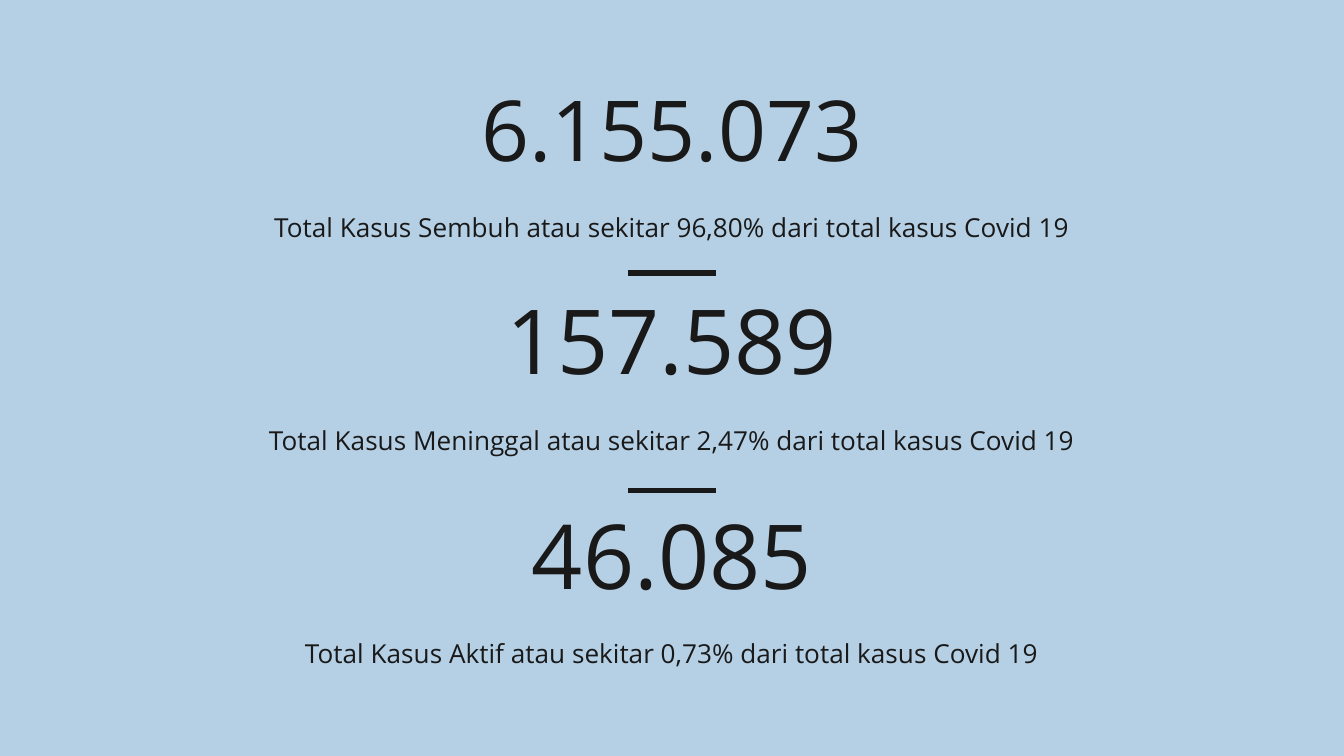
from pptx import Presentation
from pptx.dml.color import RGBColor
from pptx.enum.shapes import MSO_CONNECTOR
from pptx.enum.text import MSO_ANCHOR, MSO_AUTO_SIZE, PP_ALIGN
from pptx.util import Inches, Pt
from lxml import etree

STRAIGHT = MSO_CONNECTOR.STRAIGHT
TOP, BOTTOM = MSO_ANCHOR.TOP, MSO_ANCHOR.BOTTOM
CENTER = PP_ALIGN.CENTER
NO_FIT = MSO_AUTO_SIZE.NONE
FONT = "Open Sans"
COLORS = {"background": "B5D0E5", "ink": "191919"}
INK = RGBColor.from_string(COLORS["ink"])
A_NS = "http://schemas.openxmlformats.org/drawingml/2006/main"


def set_text(shape, text, size, anchor):
    tf = shape.text_frame
    tf.text = text
    tf.word_wrap = True
    tf.auto_size = NO_FIT
    tf.vertical_anchor = anchor
    tf.margin_left = tf.margin_right = Inches(0.1)
    tf.margin_top = tf.margin_bottom = Inches(0.1)
    p = tf.paragraphs[0]
    p.alignment = CENTER
    p.line_spacing = 1.0
    r = p.runs[0]
    r.font.name = FONT
    r.font.size = Pt(size)
    r.font.color.rgb = INK


prs = Presentation()
prs.slide_width = Inches(10)
prs.slide_height = Inches(10) * 9 // 16
s = prs.slides.add_slide(prs.slide_layouts[5])
s.background.fill.solid()
s.background.fill.fore_color.rgb = RGBColor.from_string(COLORS["background"])

stats = [
    ("6.155.073", 45, 0.59, "Total Kasus Sembuh atau sekitar 96,80% dari total kasus Covid 19", 1.47),
    ("157.589", 48, 2.18, "Total Kasus Meninggal atau sekitar 2,47% dari total kasus Covid 19", 3.06),
    ("46.085", 48, 3.78, "Total Kasus Aktif atau sekitar 0,73% dari total kasus Covid 19", 4.64),
]
for i, (number, size, number_top, caption, caption_top) in enumerate(stats):
    box = Inches(2.23), Inches(number_top), Inches(5.54), Inches(0.84)
    if i == 0:
        sp = s.shapes.title
        sp.left, sp.top, sp.width, sp.height = box
    else:
        sp = s.shapes.add_textbox(*box)
    set_text(sp, number, size, BOTTOM)
    sp = s.shapes.add_textbox(Inches(0), Inches(caption_top), Inches(10), Inches(0.4))
    set_text(sp, caption, 14, TOP)

for y in (2.03, 3.65):
    divider = s.shapes.add_connector(STRAIGHT, Inches(4.67), Inches(y), Inches(5.33), Inches(y))
    divider.line.color.rgb = INK
    divider.line.width = Pt(3)
    etree.SubElement(divider._element.spPr, f"{{{A_NS}}}effectLst")

prs.save("out.pptx")
